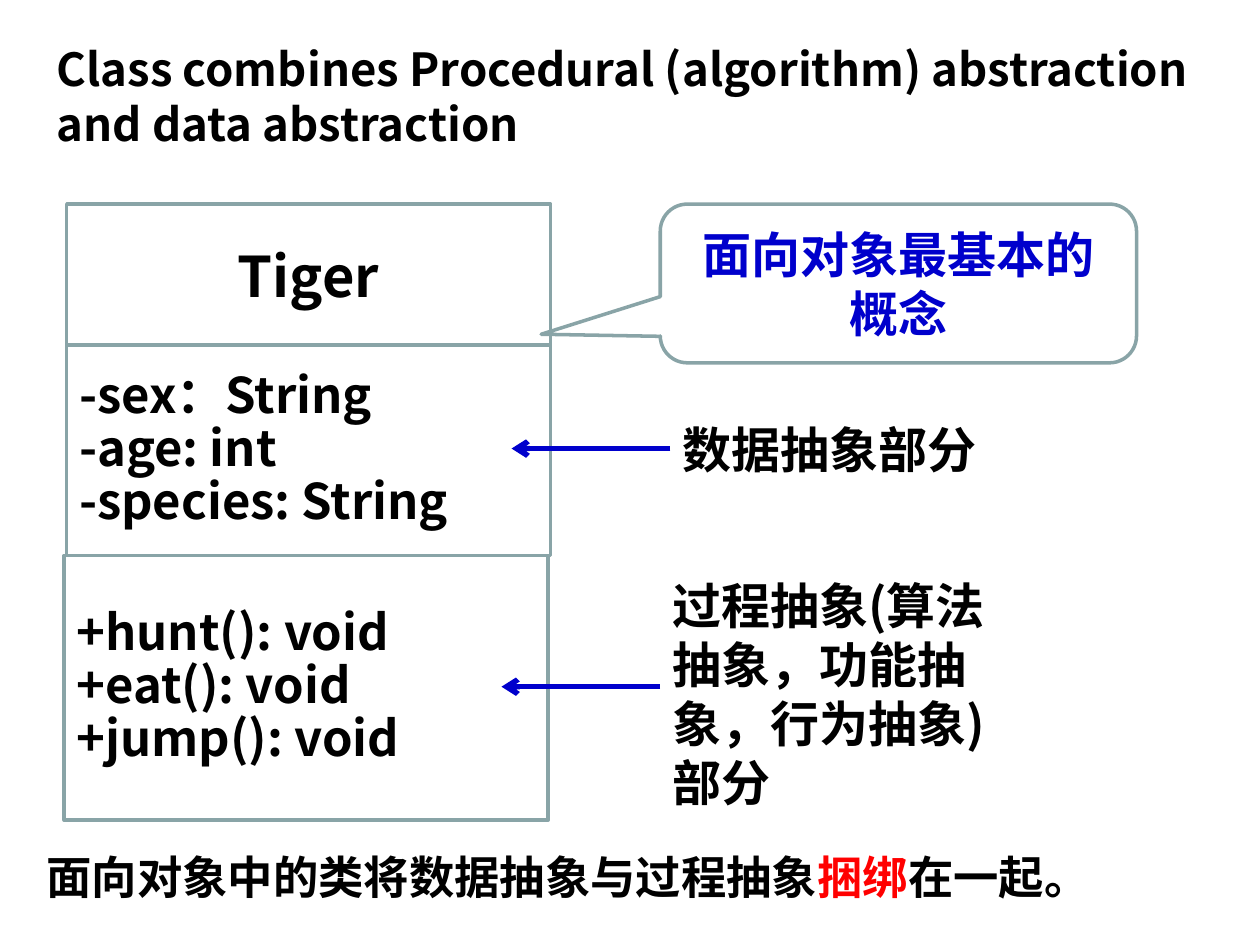
from lxml import etree
from pptx import Presentation
from pptx.dml.color import RGBColor
from pptx.enum.shapes import MSO_CONNECTOR, MSO_SHAPE
from pptx.enum.text import MSO_ANCHOR, PP_ALIGN
from pptx.oxml.ns import qn
from pptx.util import Inches, Pt

FONT = "Noto Sans CJK SC"
BLACK = RGBColor(0x00, 0x00, 0x00)
WHITE = RGBColor(0xFF, 0xFF, 0xFF)
BLUE = RGBColor(0x00, 0x00, 0xCC)
RED = RGBColor(0xFF, 0x00, 0x00)
GREY = RGBColor(0x89, 0xA4, 0xA7)
RECT = MSO_SHAPE.RECTANGLE
CALLOUT = MSO_SHAPE.ROUNDED_RECTANGULAR_CALLOUT
STRAIGHT = MSO_CONNECTOR.STRAIGHT
TOP, MIDDLE = MSO_ANCHOR.TOP, MSO_ANCHOR.MIDDLE
LEFT, CENTER = PP_ALIGN.LEFT, PP_ALIGN.CENTER


def write(sp, lines, size, color=BLACK, align=LEFT, anchor=TOP, spacing=1.0, before=0):
    tf = sp.text_frame
    tf.word_wrap = True
    tf.vertical_anchor = anchor
    for i, line in enumerate(lines):
        p = tf.paragraphs[0] if i == 0 else tf.add_paragraph()
        p.alignment = align
        p.line_spacing = spacing
        p.space_before = Pt(before)
        p.font.name = FONT
        p.font.size = Pt(size)
        p.font.bold = True
        p.font.color.rgb = color
        props = p._p.pPr.find(qn("a:defRPr"))
        latin = props.find(qn("a:latin"))
        ea = etree.Element(qn("a:ea"), typeface=FONT)
        latin.addnext(ea)
        for text, run_color in line:
            r = p.add_run()
            r.text = text
            if run_color is not None:
                r.font.color.rgb = run_color


def plain(*texts):
    return [[(text, None)] for text in texts]


def add_text(s, box, lines, size, **style):
    sp = s.shapes.add_textbox(*map(Inches, box))
    write(sp, lines, size, **style)


def add_outlined(s, kind, box):
    sp = s.shapes.add_shape(kind, *map(Inches, box))
    sp.shadow.inherit = False
    sp.fill.solid()
    sp.fill.fore_color.rgb = WHITE
    sp.line.color.rgb = GREY
    sp.line.width = Pt(2)
    return sp


def add_class_box(s, left, top, width):
    compartments = [
        (0, 1.12, ["Tiger"], 32, CENTER, 1.0),
        (0, 1.67, ["-sex：String", "-age: int", "-species: String"], 28, LEFT, 0.9),
        (-0.02, 2.1, ["+hunt(): void", "+eat(): void", "+jump(): void"], 28, LEFT, 0.9),
    ]
    for shift, height, texts, size, align, spacing in compartments:
        sp = add_outlined(s, RECT, (left + shift, top, width, height))
        write(sp, plain(*texts), size, align=align, anchor=MIDDLE, spacing=spacing)
        top += height


def add_label(s, box, text, arrow_y, arrow_length=1.26):
    add_text(s, box, plain(text), 28)
    left = box[0]
    cx = s.shapes.add_connector(
        STRAIGHT, Inches(left), Inches(arrow_y), Inches(left - arrow_length), Inches(arrow_y)
    )
    cx.line.color.rgb = BLUE
    cx.line.width = Pt(3)
    etree.SubElement(cx.line._get_or_add_ln(), qn("a:tailEnd"), type="arrow")
    etree.SubElement(cx._element.spPr, qn("a:effectLst"))


def add_callout(s, box, text):
    sp = add_outlined(s, CALLOUT, box)
    for i, value in enumerate((-0.75, 0.32, 0.17)):
        sp.adjustments[i] = value
    write(sp, plain(text), 28, color=BLUE, align=CENTER, anchor=MIDDLE)


def main():
    prs = Presentation()
    prs.slide_width, prs.slide_height = Inches(10), Inches(7.5)
    s = prs.slides.add_slide(prs.slide_layouts[6])
    title = "Class combines Procedural (algorithm) abstraction and data abstraction"
    add_text(s, (0.35, 0.28, 9.37, 1.1), plain(title), 26, before=6.5)
    add_class_box(s, 0.53, 1.62, 3.84)
    add_label(s, (5.32, 3.28, 2.89, 0.57), "数据抽象部分", 3.56)
    add_label(s, (5.24, 4.52, 2.89, 1.97), "过程抽象(算法抽象，功能抽象，行为抽象)部分", 5.45)
    add_callout(s, (5.24, 1.62, 3.78, 1.26), "面向对象最基本的概念")
    summary = [("面向对象中的类将数据抽象与过程抽象", None), ("捆绑", RED), ("在一起。", None)]
    add_text(s, (0.27, 6.74, 9.37, 0.55), [summary], 25.9, spacing=0.9, before=7)
    prs.save("out.pptx")


if __name__ == "__main__":
    main()
